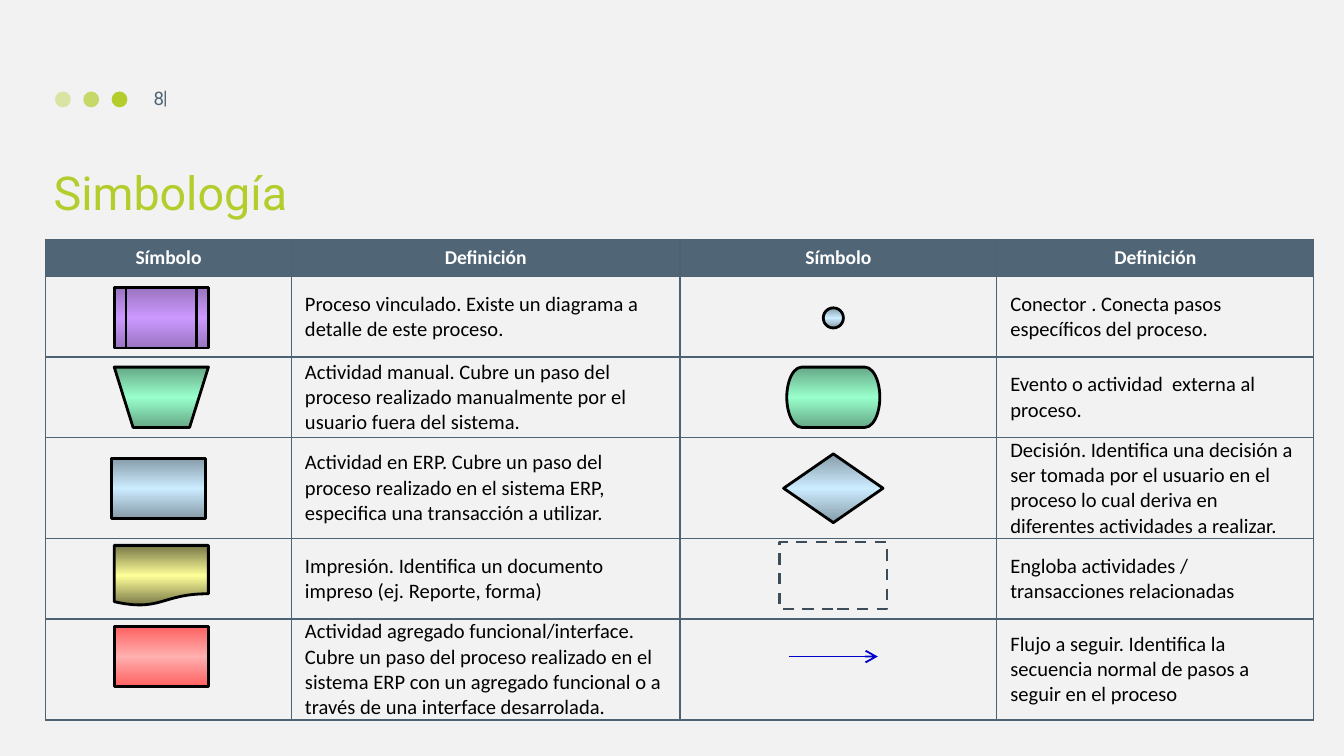
"""Build the slide that explains the flowchart symbols."""
from copy import deepcopy

from pptx import Presentation
from pptx import util as u
from pptx.dml.color import RGBColor
from pptx.enum import dml, shapes, text
from pptx.oxml import parse_xml
from pptx.oxml.ns import nsdecls, qn

COLORS = {
    "background": "F2F2F2", "lime": "B4CD2C", "slate": "506576",
    "border": "4D6374", "dash": "3C4C59", "arrow": "0000CC",
    "white": "FFFFFF", "black": "000000",
}
GRADIENTS = {
    "purple": ("9A74C1", "CC99FF"), "green": ("65A886", "99FFCC"),
    "blue": ("869BA8", "CCECFF"), "yellow": ("767647", "FFFF99"),
    "red": ("FF6161", "FFAFAF"),
}
HEADERS = ["Símbolo", "Definición"] * 2
DEFINITIONS = [
    ("Proceso vinculado. Existe un diagrama a detalle de este proceso.",
     "Conector . Conecta pasos específicos del proceso."),
    ("Actividad manual. Cubre un paso del proceso realizado manualmente por el usuario fuera del sistema.",
     "Evento o actividad  externa al proceso."),
    ("Actividad en ERP. Cubre un paso del proceso realizado en el sistema ERP, especifica una transacción a utilizar.",
     "Decisión. Identifica una decisión a ser tomada por el usuario en el proceso lo cual deriva en "
     "diferentes actividades a realizar."),
    ("Impresión. Identifica un documento impreso (ej. Reporte, forma)",
     "Engloba actividades / transacciones relacionadas"),
    ("Actividad agregado funcional/interface. Cubre un paso del proceso realizado en el sistema ERP "
     "con un agregado funcional o a través de una interface desarrolada.",
     "Flujo a seguir. Identifica la secuencia normal de pasos a seguir en el proceso"),
]
COLUMN_WIDTHS = [4.65, 7.34, 5.99, 5.99]
ROW_HEIGHTS = [0.71, 1.52, 1.52, 1.91, 1.52, 1.91]
SYMBOL_ROWS = [6.01, 7.51, 9.23, 10.88, 12.41]
LEFT_X, RIGHT_X = 3.05, 15.75
SHAPE = shapes.MSO_SHAPE
LEFT_SYMBOLS = [
    (SHAPE.FLOWCHART_PREDEFINED_PROCESS, "purple", LEFT_X),
    (SHAPE.FLOWCHART_MANUAL_OPERATION, "green", LEFT_X),
    (SHAPE.RECTANGLE, "blue", LEFT_X - 0.05),
    (SHAPE.FLOWCHART_DOCUMENT, "yellow", LEFT_X),
    (SHAPE.RECTANGLE, "red", LEFT_X),
]
RIGHT_SYMBOLS = [
    (SHAPE.FLOWCHART_CONNECTOR, "blue", 0.38, 0.38),
    (SHAPE.FLOWCHART_TERMINATOR, "green", 1.76, 1.14),
    (SHAPE.DIAMOND, "blue", 1.88, 1.3),
    (SHAPE.RECTANGLE, None, 2.03, 1.27),
]


def rgb(name):
    """Return the colour with this name."""
    return RGBColor.from_string(COLORS[name])


def write(tf, content, size=11, color="black", font="Calibri", bold=False,
          align=text.PP_ALIGN.LEFT, spacing=None):
    """Fill a text frame with one formatted run."""
    p = tf.paragraphs[0]
    p.alignment, p.line_spacing = align, spacing
    r = p.add_run()
    r.text = content
    r.font.size, r.font.name, r.font.bold = u.Pt(size), font, bold
    r.font.color.rgb = rgb(color)


def add_title(s, content):
    """Place and format the title."""
    sp = s.shapes.title
    sp.left, sp.top, sp.width, sp.height = u.Cm(0.76), u.Cm(1.9), u.Cm(24.08), u.Cm(2.39)
    tf = sp.text_frame
    tf.auto_size = text.MSO_AUTO_SIZE.NONE
    tf.vertical_anchor = text.MSO_ANCHOR.BOTTOM
    write(tf, content, size=25, color="lime", font="Roboto")


def add_label(s, content, box, wrap, **fmt):
    """Add a small slate text box."""
    tf = s.shapes.add_textbox(*map(u.Cm, box)).text_frame
    tf.word_wrap = wrap
    tf.vertical_anchor = text.MSO_ANCHOR.MIDDLE if wrap else text.MSO_ANCHOR.TOP
    write(tf, content, size=10, color="slate", font="Roboto", **fmt)


def add_dot(s, left, alpha):
    """Add a lime dot with the given opacity in percent."""
    sp = s.shapes.add_shape(SHAPE.OVAL, u.Cm(left), u.Cm(1.73), u.Cm(0.3), u.Cm(0.3))
    sp.shadow.inherit = False
    sp.line.fill.background()
    sp.fill.solid()
    sp.fill.fore_color.rgb = rgb("lime")
    color = sp.element.spPr.find(".//" + qn("a:srgbClr"))
    color.append(parse_xml(f'<a:alpha {nsdecls("a")} val="{alpha * 1000}"/>'))


def set_gradient(fill, sp, name):
    """Apply a vertical gradient that is lighter in the middle."""
    edge, middle = GRADIENTS[name]
    fill.gradient()
    fill.gradient_angle = 90
    stops = sp.element.spPr.find(".//" + qn("a:gsLst"))
    stops.append(deepcopy(stops[0]))
    for stop, position, color in zip(fill.gradient_stops, (0, 0.5, 1), (edge, middle, edge)):
        stop.position = position
        stop.color.rgb = RGBColor.from_string(color)


def add_symbol(s, kind, gradient, x, y, width=1.78, height=1.14):
    """Add a flowchart symbol centred on a point, dashed if it has no gradient."""
    sp = s.shapes.add_shape(kind, u.Cm(x - width / 2), u.Cm(y - height / 2),
                            u.Cm(width), u.Cm(height))
    sp.shadow.inherit = False
    sp.line.width = u.Pt(1.5)
    if gradient:
        set_gradient(sp.fill, sp, gradient)
        sp.line.color.rgb = rgb("black")
    else:
        sp.fill.background()
        sp.line.color.rgb = rgb("dash")
        sp.line.dash_style = dml.MSO_LINE.DASH


def add_arrow(s, x, y, length):
    """Add a horizontal arrow centred on a point."""
    sp = s.shapes.add_connector(shapes.MSO_CONNECTOR.STRAIGHT, u.Cm(x - length / 2), u.Cm(y),
                                u.Cm(x + length / 2), u.Cm(y))
    sp.line.color.rgb, sp.line.width = rgb("arrow"), u.Pt(1)
    sp.line._get_or_add_ln().append(parse_xml(f'<a:tailEnd {nsdecls("a")} type="arrow"/>'))
    sp._element.spPr.append(parse_xml(f'<a:effectLst {nsdecls("a")}/>'))


def format_cell(cell, header):
    """Set the fill, margins and borders of a cell."""
    cell.vertical_anchor = text.MSO_ANCHOR.MIDDLE
    cell.margin_top = cell.margin_bottom = u.Cm(0.13 if header else 0)
    if header:
        cell.fill.solid()
        cell.fill.fore_color.rgb = rgb("slate")
    else:
        cell.fill.background()
    for i, side in enumerate("LRTB"):
        cell._tc.tcPr.insert(i, parse_xml(
            f'<a:ln{side} {nsdecls("a")} w="9525"><a:solidFill>'
            f'<a:srgbClr val="{COLORS["border"]}"/></a:solidFill></a:ln{side}>'))


def add_definitions(s):
    """Add the table of symbols and definitions."""
    rows = [HEADERS] + [["", left, "", right] for left, right in DEFINITIONS]
    tbl = s.shapes.add_table(len(rows), len(HEADERS), u.Cm(0.86), u.Cm(4.52),
                             u.Cm(sum(COLUMN_WIDTHS)), u.Cm(sum(ROW_HEIGHTS))).table
    tbl.first_row = tbl.horz_banding = False
    for column, width in zip(tbl.columns, COLUMN_WIDTHS):
        column.width = u.Cm(width)
    for i, (row, height) in enumerate(zip(rows, ROW_HEIGHTS)):
        tbl.rows[i].height = u.Cm(height)
        for j, content in enumerate(row):
            cell = tbl.cell(i, j)
            format_cell(cell, header=i == 0)
            if i == 0:
                write(cell.text_frame, content, size=10.5, color="white", bold=True,
                      align=text.PP_ALIGN.CENTER)
            elif content:
                write(cell.text_frame, content)


def main():
    """Build and save the slide."""
    prs = Presentation()
    prs.slide_width, prs.slide_height = u.Cm(25.4), u.Cm(14.29)
    s = prs.slides.add_slide(prs.slide_layouts[5])
    s.background.fill.solid()
    s.background.fill.fore_color.rgb = rgb("background")
    for i, alpha in enumerate((40, 70, 100)):
        add_dot(s, 1.04 + 0.535 * i, alpha)
    add_label(s, "|", (3.05, 1.68, 0.15, 0.38), False, align=text.PP_ALIGN.CENTER, spacing=0.5)
    add_title(s, "Simbología")
    add_label(s, "8", (2.18, 1.47, 1.17, 0.76), True, align=text.PP_ALIGN.RIGHT)
    add_definitions(s)
    for (kind, gradient, x), y in zip(LEFT_SYMBOLS, SYMBOL_ROWS):
        add_symbol(s, kind, gradient, x, y)
    for (kind, gradient, width, height), y in zip(RIGHT_SYMBOLS, SYMBOL_ROWS):
        add_symbol(s, kind, gradient, RIGHT_X, y, width, height)
    add_arrow(s, RIGHT_X, SYMBOL_ROWS[-1], 1.68)
    prs.save("out.pptx")


if __name__ == "__main__":
    main()
